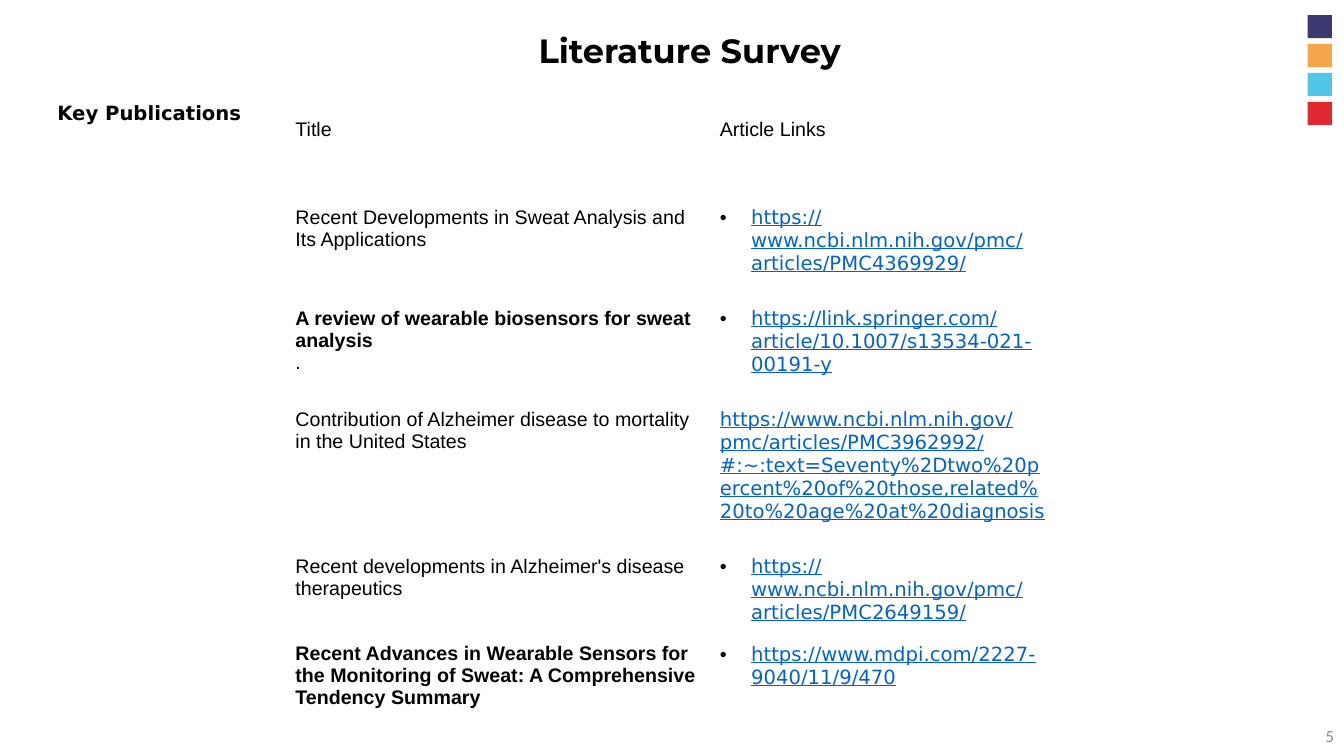
from dataclasses import dataclass

from lxml.etree import SubElement
from pptx import Presentation
from pptx.dml.color import RGBColor
from pptx.enum.shapes import MSO_SHAPE as Shape
from pptx.enum.text import MSO_ANCHOR as Anchor, MSO_AUTO_SIZE as AutoSize, PP_ALIGN as Align
from pptx.oxml.ns import qn
from pptx.util import Inches, Pt

COLORS = {
    "navy": "3A3A70",
    "orange": "F7A54B",
    "sky": "51C6E7",
    "red": "E12730",
    "black": "000000",
    "grey": "888888",
    "link": "0563C1",
}
SQUARES = ["navy", "orange", "sky", "red"]
SQUARE_TOP, SQUARE_PITCH = 0.15, (1.01 - 0.15) / 3
COLUMN_WIDTHS = [4.21, 3.46]
HEADINGS = ["Title", "Article Links"]
HEADING_HEIGHT = 0.87


@dataclass
class Publication:
    title: str
    link: str
    height: float
    bold: bool = False
    bullet: bool = True
    note: str = ""


PUBLICATIONS = [
    Publication("Recent Developments in Sweat Analysis and Its Applications",
                "https://www.ncbi.nlm.nih.gov/pmc/articles/PMC4369929/", 1.0),
    Publication("A review of wearable biosensors for sweat analysis",
                "https://link.springer.com/article/10.1007/s13534-021-00191-y", 1.0,
                bold=True, note="."),
    Publication("Contribution of Alzheimer disease to mortality in the United States",
                "https://www.ncbi.nlm.nih.gov/pmc/articles/PMC3962992/"
                "#:~:text=Seventy%2Dtwo%20percent%20of%20those,related%20to%20age%20at%20diagnosis",
                1.46, bullet=False),
    Publication("Recent developments in Alzheimer's disease therapeutics",
                "https://www.ncbi.nlm.nih.gov/pmc/articles/PMC2649159/", 0.87),
    Publication("Recent Advances in Wearable Sensors for the Monitoring of Sweat: "
                "A Comprehensive Tendency Summary",
                "https://www.mdpi.com/2227-9040/11/9/470", 0.98, bold=True),
]


def write(para, text: str, size: float = 14, font: str = "Arial", color: str = "black",
          bold: bool = False, underline: bool = False) -> None:
    para.text = text
    para.font.size = Pt(size)
    para.font.name = font
    para.font.bold = bold
    para.font.underline = underline
    para.font.color.rgb = RGBColor.from_string(COLORS[color])


def add_bullet(para) -> None:
    props = para._p.get_or_add_pPr()
    props.set("marL", str(Inches(0.31)))
    props.set("indent", str(-Inches(0.31)))
    tint = SubElement(props, qn("a:buClr"))
    SubElement(tint, qn("a:srgbClr"), val=COLORS["black"])
    SubElement(props, qn("a:buFont"), typeface="Arial")
    SubElement(props, qn("a:buChar"), char="•")


def add_label(page, left: float, top: float, width: float, height: float):
    box = page.shapes.add_textbox(Inches(left), Inches(top), Inches(width), Inches(height))
    box.text_frame.word_wrap = True
    return box.text_frame


def add_title(page, text: str) -> None:
    title = page.shapes.title
    title.left, title.top = Inches(1.09), Inches(0.25)
    title.width, title.height = Inches(11.5), Inches(0.54)
    frame = title.text_frame
    frame.auto_size = AutoSize.NONE
    frame.vertical_anchor = Anchor.TOP
    write(frame.paragraphs[0], text, 24, "Montserrat", bold=True)
    frame.paragraphs[0].alignment = Align.CENTER


def add_squares(page) -> None:
    for index, color in enumerate(SQUARES):
        square = page.shapes.add_shape(
            Shape.RECTANGLE, Inches(12.97), Inches(SQUARE_TOP + index * SQUARE_PITCH),
            Inches(0.24), Inches(0.23))
        square.shadow.inherit = False
        square.fill.solid()
        square.fill.fore_color.rgb = RGBColor.from_string(COLORS[color])
        square.line.fill.background()


def add_publications(page) -> None:
    heights = [HEADING_HEIGHT] + [item.height for item in PUBLICATIONS]
    table = page.shapes.add_table(
        len(heights), len(COLUMN_WIDTHS), Inches(2.83), Inches(1.13),
        Inches(sum(COLUMN_WIDTHS)), Inches(sum(heights))).table
    table.first_row = False
    table.horz_banding = False
    for column, width in zip(table.columns, COLUMN_WIDTHS):
        column.width = Inches(width)
    for row, height in zip(table.rows, heights):
        row.height = Inches(height)
    for cell in table.iter_cells():
        cell.fill.background()
    for column, heading in enumerate(HEADINGS):
        write(table.cell(0, column).text_frame.paragraphs[0], heading)
    for row, item in enumerate(PUBLICATIONS, start=1):
        title_frame = table.cell(row, 0).text_frame
        write(title_frame.paragraphs[0], item.title, bold=item.bold)
        if item.note:
            write(title_frame.add_paragraph(), item.note)
        link_para = table.cell(row, 1).text_frame.paragraphs[0]
        if item.bullet:
            add_bullet(link_para)
        write(link_para, item.link, font="DejaVu Sans", color="link", underline=True)


def main() -> None:
    deck = Presentation()
    deck.slide_width, deck.slide_height = Inches(13.33), Inches(7.5)
    page = deck.slides.add_slide(deck.slide_layouts[5])
    add_squares(page)
    number = add_label(page, 10.33, 7.1, 3, 0.4)
    number.vertical_anchor = Anchor.MIDDLE
    write(number.paragraphs[0], "5", 12, "Calibri", "grey")
    number.paragraphs[0].alignment = Align.RIGHT
    add_title(page, "Literature Survey")
    section = add_label(page, 0.47, 0.95, 12.39, 6.27)
    write(section.paragraphs[0], "Key Publications", font="DejaVu Sans", bold=True)
    add_publications(page)
    deck.save("out.pptx")


if __name__ == "__main__":
    main()
